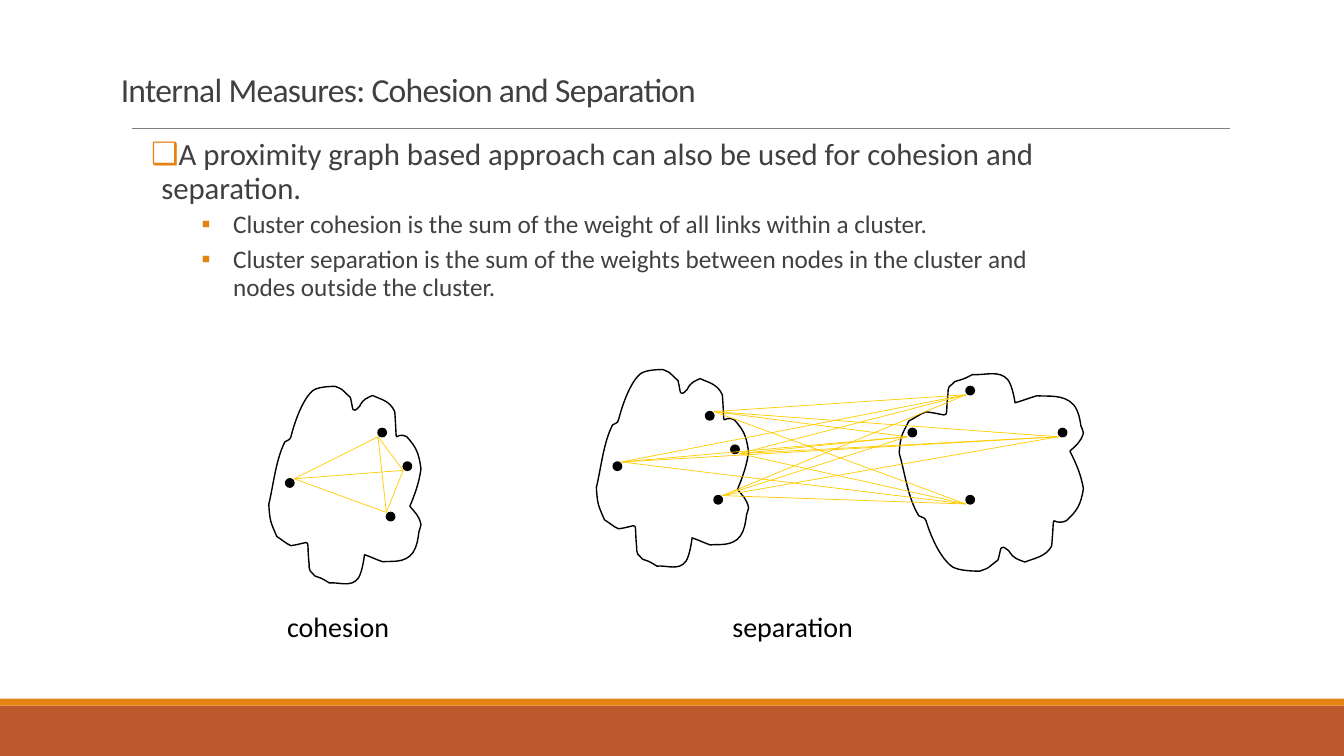
"""Build a slide on cluster cohesion and separation as proximity graphs."""
from dataclasses import dataclass
from itertools import combinations, product

from lxml import etree
from pptx import Presentation
from pptx.dml.color import RGBColor
from pptx.enum.shapes import MSO_CONNECTOR, MSO_SHAPE
from pptx.enum.text import MSO_ANCHOR, MSO_AUTO_SIZE
from pptx.oxml.ns import qn
from pptx.util import Pt

RECT, OVAL = MSO_SHAPE.RECTANGLE, MSO_SHAPE.OVAL
STRAIGHT = MSO_CONNECTOR.STRAIGHT
TOP, BOTTOM = MSO_ANCHOR.TOP, MSO_ANCHOR.BOTTOM
FIXED, GROW = MSO_AUTO_SIZE.NONE, MSO_AUTO_SIZE.SHAPE_TO_FIT_TEXT


@dataclass(frozen=True)
class Theme:
    font: str = "Calibri"
    ink: str = "404040"
    black: str = "000000"
    rule: str = "808080"
    link: str = "FFCC00"
    orange: str = "E48312"
    rust: str = "BD582C"
    title: int = 24
    lead: int = 22
    point: int = 18
    label: int = 20


theme = Theme()
deck = Presentation()
deck.slide_width, deck.slide_height = Pt(960), Pt(540)
slide = deck.slides.add_slide(deck.slide_layouts[6])
shapes = slide.shapes


def add_text(box, paras, frame):
    area = shapes.add_textbox(*map(Pt, box)).text_frame
    for name, value in frame.items():
        setattr(area, name, value)
    for i, (words, size, color, form, bullet) in enumerate(paras):
        para = area.paragraphs[0] if i == 0 else area.add_paragraph()
        if bullet:
            mark, left, hang = bullet
            props = para._p.get_or_add_pPr()
            props.set("marL", str(Pt(left)))
            props.set("indent", str(-Pt(hang)))
            tint = etree.SubElement(props, qn("a:buClr"))
            etree.SubElement(tint, qn("a:srgbClr"), val=theme.orange)
            etree.SubElement(props, qn("a:buFont"), typeface=theme.font)
            etree.SubElement(props, qn("a:buChar"), char=mark)
        for name, value in form.items():
            setattr(para, name, value)
        run = para.add_run()
        run.text = words
        run.font.name, run.font.size = theme.font, Pt(size)
        run.font.color.rgb = RGBColor.from_string(color)
    return area


def add_line(start, end, color):
    line = shapes.add_connector(STRAIGHT, *map(Pt, (*start, *end)))
    line.line.color.rgb = RGBColor.from_string(color)
    line.line.width = Pt(0.5)
    etree.SubElement(line._element.spPr, qn("a:effectLst"))


for top, height, color in [(504, 36, theme.rust), (499, 5, theme.orange)]:
    band = shapes.add_shape(RECT, 0, Pt(top), Pt(960), Pt(height))
    band.shadow.inherit = False
    band.fill.solid()
    band.fill.fore_color.rgb = RGBColor.from_string(color)
    band.line.fill.background()
add_line((94.3, 91.4), (878.7, 91.4), theme.rule)

lead = {"line_spacing": 0.9, "space_after": Pt(2)}
point = {"line_spacing": 0.9, "space_before": Pt(2), "space_after": Pt(4)}
dot = ("▪", 58.5, 22.5)
add_text((108, 96, 666, 420), [
    ("A proximity graph based approach can also be used for cohesion and separation.",
     theme.lead, theme.ink, lead, ("❑", 7.2, 7.2)),
    ("Cluster cohesion is the sum of the weight of all links within a cluster.",
     theme.point, theme.ink, point, dot),
    ("Cluster separation is the sum of the weights between nodes in the cluster and "
     "nodes outside the cluster.", theme.point, theme.ink, point, dot),
], {"word_wrap": True, "auto_size": FIXED, "vertical_anchor": TOP,
    "margin_left": 0, "margin_right": 0})
title = add_text((79.2, 4, 792, 77.6), [
    ("Internal Measures: Cohesion and Separation", theme.title, theme.ink,
     {"line_spacing": 0.85}, None),
], {"word_wrap": True, "auto_size": FIXED, "vertical_anchor": BOTTOM})
title.paragraphs[0].runs[0]._r.get_or_add_rPr().set("spc", "-50")

outline = [
    (16, 55), (7, 73), (5, 96), (0, 117), (1, 134), (2, 135), (8, 149),
    (13, 152), (17, 156), (22, 158), (44, 155), (37, 148), (40, 176),
    (40, 179), (40, 181), (41, 183), (48, 190), (43, 187), (51, 190),
    (54, 191), (60, 195), (60, 195), (70, 194), (82, 200), (89, 190),
    (93, 184), (95, 167), (95, 167), (101, 169), (107, 172), (113, 174),
    (121, 173), (135, 176), (143, 165), (147, 159), (148, 152), (149, 144),
    (150, 142), (151, 137), (151, 137), (149, 128), (145, 125), (140, 119),
    (145, 107), (149, 96), (151, 82), (149, 66), (146, 60), (137, 50),
    (123, 43), (128, 65), (125, 25), (120, 14), (111, 13), (103, 9),
    (97, 12), (94, 12), (90, 20), (82, 28), (84, 23), (81, 11),
    (70, 1), (75, 4), (66, 0), (63, 0), (50, 0), (44, 4),
    (34, 12), (26, 34), (22, 50), (21, 54), (18, 53), (16, 55),
]

near = [(510, 354), (504, 294), (438, 330), (522, 318)]
far = [(756, 306), (648.7, 306), (690, 354), (690, 276)]
inner = [(x - 234, y + 12) for x, y in near]
unit = 0.72
clusters = [
    (426, 264, unit, unit, near),
    (642.3, 408, unit * 1.21, -unit, far),
    (192, 276, unit, unit, inner),
]
for left, base, wide, high, nodes in clusters:
    rim = [(Pt(left + x * wide), Pt(base + y * high)) for x, y in outline]
    pen = shapes.build_freeform(*rim[0])
    pen.add_line_segments(rim[1:], close=True)
    blob = pen.convert_to_shape()
    blob.fill.background()
    track = next(blob._element.iter(qn("a:path")))
    sides = track.findall(qn("a:lnTo"))
    for trio in zip(sides[::3], sides[1::3], sides[2::3]):
        curve = etree.Element(qn("a:cubicBezTo"))
        trio[0].addprevious(curve)
        for side in trio:
            curve.append(side[0])
            track.remove(side)
    spots = [shapes.add_shape(OVAL, Pt(x), Pt(y), Pt(6), Pt(6)) for x, y in nodes]
    for spot in spots:
        spot.fill.solid()
        spot.fill.fore_color.rgb = RGBColor.from_string(theme.black)
    for shape in (blob, *spots):
        shape.shadow.inherit = False
        shape.line.color.rgb = RGBColor.from_string(theme.black)
        shape.line.width = Pt(1)

starts = [(516, 354), (528, 324), (444, 330), (510, 294)]
ends = [(756, 312), (648, 312), (690, 360), (690, 282)]
mesh = [(210, 342), (270, 312), (276, 366), (288, 336)]
for start, end in [*product(starts, ends), *combinations(mesh, 2)]:
    add_line(start, end, theme.link)

for left, width, words in [(198, 88, "cohesion"), (516, 101.5, "separation")]:
    add_text((left, 432, width, 31.5), [(words, theme.label, theme.black, {}, None)],
             {"word_wrap": False, "auto_size": GROW})

deck.save("out.pptx")
